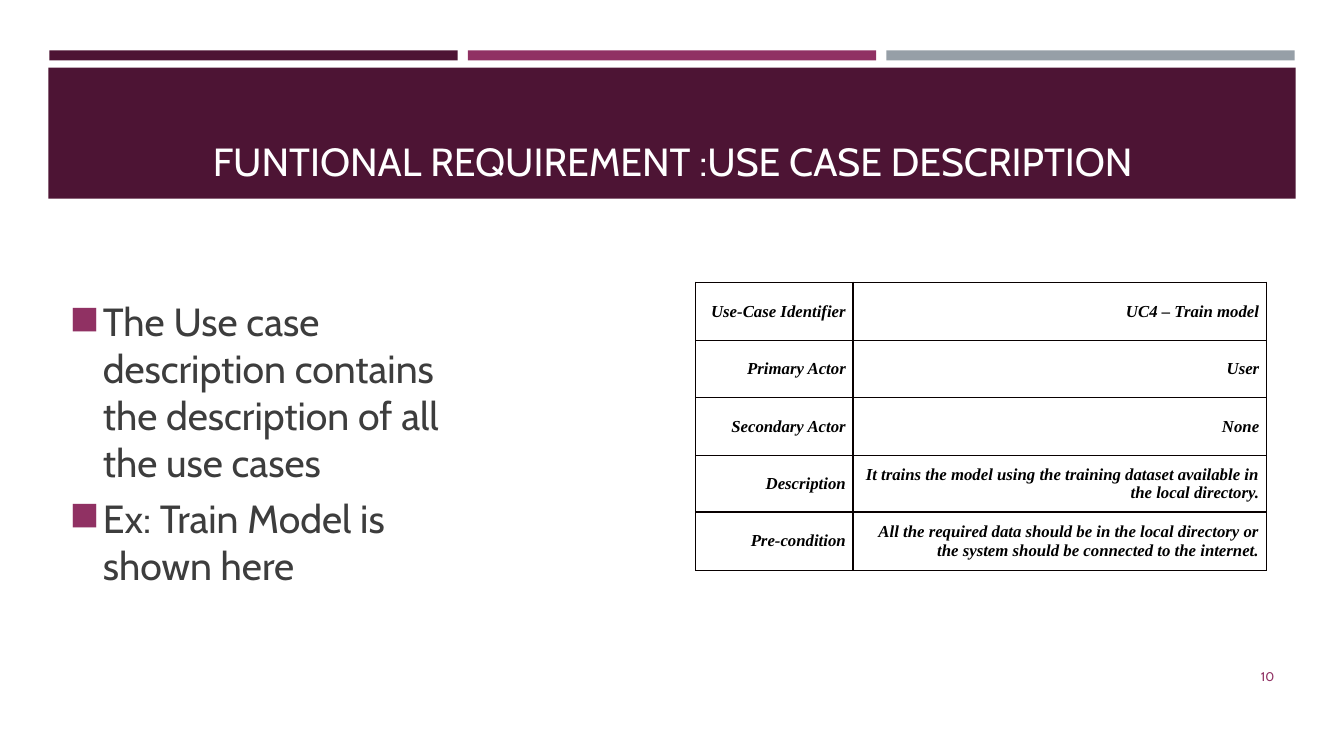
from dataclasses import dataclass

from lxml import etree
from pptx import Presentation
from pptx import util as u
from pptx.dml.color import RGBColor
from pptx.enum import shapes, text
from pptx.oxml import ns


@dataclass(frozen=True)
class Theme:
    plum: str = "4D1434"
    berry: str = "903163"
    steel: str = "969FA7"
    white: str = "FFFFFF"
    body: str = "3D3D3D"
    black: str = "000000"
    border: str = "080000"
    sans: str = "Cabin"
    serif: str = "Times New Roman"
    large: float = 28
    cell: float = 12
    small: float = 9


def add_xml(parent, tag, **attributes):
    return etree.SubElement(parent, ns.qn(tag), attributes)


class SlideBuilder:
    def __init__(self, slide, theme):
        self.slide = slide
        self.theme = theme

    def bar(self, left, top, width, height, color):
        shape = self.slide.shapes.add_shape(
            shapes.MSO_SHAPE.RECTANGLE, *map(u.Inches, (left, top, width, height)))
        shape.shadow.inherit = False
        shape.fill.solid()
        shape.fill.fore_color.rgb = RGBColor.from_string(color)
        shape.line.fill.background()

    def style(self, paragraph, size, color, align, name=None, strong=False):
        paragraph.alignment = align
        font = paragraph.font
        font.name = name or self.theme.sans
        font.size = u.Pt(size)
        font.bold = font.italic = strong
        font.color.rgb = RGBColor.from_string(color)

    def frame(self, shape, anchor, wrap=True):
        frame = shape.text_frame
        frame.word_wrap = wrap
        frame.auto_size = text.MSO_AUTO_SIZE.NONE
        frame.vertical_anchor = anchor
        frame.margin_left = frame.margin_right = u.Inches(0.05)
        frame.margin_top = frame.margin_bottom = u.Inches(0.05)
        return frame

    def title(self, content, left, top, width, height):
        title = self.slide.shapes.title
        title.left, title.top, title.width, title.height = map(
            u.Inches, (left, top, width, height))
        self.slide.shapes.element.append(title.element)
        frame = self.frame(title, text.MSO_ANCHOR.BOTTOM)
        frame.text = content
        self.style(frame.paragraphs[0], self.theme.large, self.theme.white,
                   text.PP_ALIGN.CENTER)

    def text_box(self, left, top, width, height, wrap=True):
        shape = self.slide.shapes.add_textbox(
            *map(u.Inches, (left, top, width, height)))
        return self.frame(shape, text.MSO_ANCHOR.MIDDLE, wrap)

    def page_number(self, content, *box):
        frame = self.text_box(*box, wrap=False)
        frame.text = content
        self.style(frame.paragraphs[0], self.theme.small, self.theme.berry,
                   text.PP_ALIGN.RIGHT)

    def bullets(self, items, *box):
        frame = self.text_box(*box)
        frame.text = "\n".join(items)
        indent = u.Inches(0.33)
        for paragraph in frame.paragraphs:
            paragraph.space_before = u.Pt(6)
            properties = paragraph._p.get_or_add_pPr()
            properties.set("marL", str(indent))
            properties.set("indent", str(-indent))
            add_xml(add_xml(properties, "a:buClr"), "a:srgbClr", val=self.theme.berry)
            add_xml(properties, "a:buSzPct", val="92000")
            add_xml(properties, "a:buChar", char="◼")
            self.style(paragraph, self.theme.large, self.theme.body, text.PP_ALIGN.LEFT)

    def cell(self, cell, content):
        cell.text = content
        cell.vertical_anchor = text.MSO_ANCHOR.MIDDLE
        cell.margin_left = cell.margin_right = u.Inches(0.07)
        cell.margin_top = cell.margin_bottom = 0
        properties = cell._tc.get_or_add_tcPr()
        for side in ("a:lnL", "a:lnR", "a:lnT", "a:lnB"):
            line = add_xml(properties, side, w=str(u.Pt(1)))
            add_xml(add_xml(line, "a:solidFill"), "a:srgbClr", val=self.theme.border)
        cell.fill.background()
        self.style(cell.text_frame.paragraphs[0], self.theme.cell, self.theme.black,
                   text.PP_ALIGN.RIGHT, self.theme.serif, strong=True)

    def table(self, rows, left, top, widths, heights):
        table = self.slide.shapes.add_table(
            len(rows), len(widths),
            *map(u.Inches, (left, top, sum(widths), sum(heights)))).table
        table.first_row = table.horz_banding = False
        for column, width in zip(table.columns, widths):
            column.width = u.Inches(width)
        for row, height, contents in zip(table.rows, heights, rows):
            row.height = u.Inches(height)
            for cell, content in zip(row.cells, contents):
                self.cell(cell, content)


def main():
    presentation = Presentation()
    presentation.slide_width = u.Inches(13.33)
    presentation.slide_height = u.Inches(7.5)
    slide = presentation.slides.add_slide(presentation.slide_layouts[5])
    theme = Theme()
    builder = SlideBuilder(slide, theme)

    for index, color in enumerate((theme.plum, theme.berry, theme.steel)):
        builder.bar(0.49 + 4.15 * index, 0.5, 4.05, 0.1, color)
    builder.bar(0.48, 0.67, 12.37, 1.3, theme.plum)
    builder.title("FUNTIONAL REQUIREMENT :USE CASE DESCRIPTION",
                  0.64, 0.77, 12.06, 1.11)
    builder.page_number("10", 12.44, 6.59, 0.25, 0.25)

    use_case = [
        ("Use-Case Identifier", "UC4 – Train model"),
        ("Primary Actor", "User"),
        ("Secondary Actor", "None"),
        ("Description", "It trains the model using the training dataset "
                        "available in the local directory."),
        ("Pre-condition", "All the required data should be in the local directory "
                          "or the system should be connected to the internet."),
    ]
    builder.table(use_case, 6.9, 2.8, (1.56, 4.1), (0.58, 0.56, 0.58, 0.56, 0.58))
    builder.bullets(
        ("The Use case description contains the description of all the use cases",
         "Ex: Train Model is shown here"),
        0.64, 2.38, 4.15, 4.02)
    presentation.save("out.pptx")


if __name__ == "__main__":
    main()
